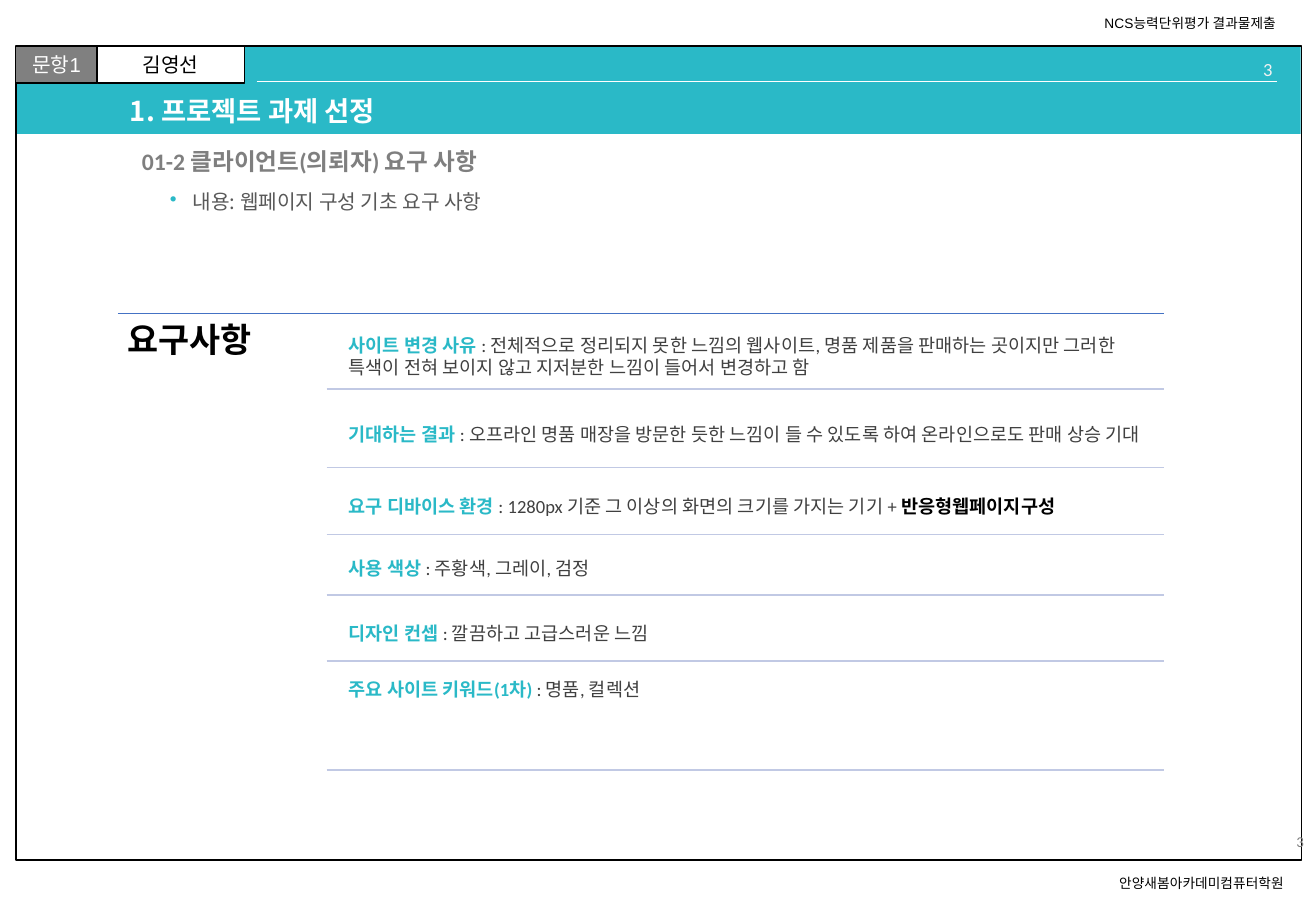
from collections import namedtuple
from dataclasses import dataclass

from lxml import etree
from pptx import Presentation
from pptx import util as u
from pptx.dml import color
from pptx.enum import shapes, text
from pptx.oxml import ns

Box = namedtuple("Box", "left top width height")
Run = namedtuple("Run", "words color bold")


@dataclass(frozen=True)
class Theme:
    """Colours, fonts and type sizes of the slide."""
    teal: str = "2AB9C7"
    black: str = "000000"
    white: str = "FFFFFF"
    badge: str = "808080"
    subtitle: str = "7F7F7F"
    content: str = "595959"
    detail: str = "404040"
    page: str = "F2F2F2"
    top_rule: str = "4472C4"
    row_rule: str = "C1C9E4"
    korean: str = "Noto Sans CJK KR"
    latin: str = "Calibri"
    margin: str = "Arial"
    heading_size: float = 20
    title_size: float = 16.2
    subtitle_size: float = 14
    label_size: float = 12
    row_size: float = 11
    corner_size: float = 8.9
    margin_size: float = 8.1


THEME = Theme()
ALIGN, ANCHOR = text.PP_ALIGN, text.MSO_ANCHOR


def rgb(value):
    """Turn a hex string into a colour."""
    return color.RGBColor.from_string(value)


def points(box):
    """Give the four lengths of a box in points."""
    return [u.Pt(length) for length in box]


def inside(box, left, top, width, height):
    """Place a box relative to the corner of another one."""
    return Box(box.left + left, box.top + top, width, height)


def write(shape, runs, *, size, font=THEME.latin, align=ALIGN.LEFT,
          anchor=ANCHOR.TOP, inset=(7.2, 3.6), spacing=1.0, bullet=None):
    """Fill a shape with one formatted paragraph of runs."""
    frame = shape.text_frame
    frame.word_wrap = True
    frame.vertical_anchor = anchor
    frame.margin_left = frame.margin_right = u.Pt(inset[0])
    frame.margin_top = frame.margin_bottom = u.Pt(inset[1])
    paragraph = frame.paragraphs[0]
    paragraph.alignment = align
    paragraph.line_spacing = spacing
    for words, shade, bold in runs:
        run = paragraph.add_run()
        run.text = words
        run.font.name, run.font.size, run.font.bold = font, u.Pt(size), bold
        run.font.color.rgb = rgb(shade)
        east_asian = etree.SubElement(run.font._element, ns.qn("a:ea"))
        east_asian.set("typeface", THEME.korean)
    if bullet:
        properties = paragraph._p.get_or_add_pPr()
        properties.set("marL", str(u.Pt(13.5)))
        properties.set("indent", str(u.Pt(-13.5)))
        shade = etree.SubElement(properties, ns.qn("a:buClr"))
        etree.SubElement(shade, ns.qn("a:srgbClr")).set("val", bullet)
        etree.SubElement(properties, ns.qn("a:buChar")).set("char", "•")


def add_text(slide, box, words, *, shade=THEME.black, bold=False, **style):
    """Add a text box holding a string or a list of runs."""
    runs = [Run(words, shade, bold)] if isinstance(words, str) else words
    write(slide.shapes.add_textbox(*points(box)), runs, **style)


def add_panel(slide, box, fill=None, line=None, weight=0.75):
    """Add a plain rectangle with an optional fill and outline."""
    panel = slide.shapes.add_shape(shapes.MSO_SHAPE.RECTANGLE, *points(box))
    panel.shadow.inherit = False
    if fill:
        panel.fill.solid()
        panel.fill.fore_color.rgb = rgb(fill)
    else:
        panel.fill.background()
    if line:
        panel.line.color.rgb = rgb(line)
        panel.line.width = u.Pt(weight)
    else:
        panel.line.fill.background()
    return panel


def add_rule(slide, left, right, y, shade, weight=1):
    """Add a horizontal line."""
    rule = slide.shapes.add_connector(
        shapes.MSO_CONNECTOR.STRAIGHT, *points((left, y, right, y)))
    rule.line.color.rgb = rgb(shade)
    rule.line.width = u.Pt(weight)
    etree.SubElement(rule._element.spPr, ns.qn("a:effectLst"))


def draw_frame(slide, box):
    """Draw the border, the banner and the two labels outside the border."""
    add_panel(slide, Box(box.left - 0.5, box.top, box.width, 52), THEME.teal)
    add_panel(slide, box, line=THEME.black, weight=1)
    margin = dict(size=THEME.margin_size, font=THEME.margin)
    add_text(slide, inside(box, 646.7, 487.4, 121, 17.3),
             "안양새봄아카데미컴퓨터학원", **margin)
    add_text(slide, inside(box, 638, -22.4, 124, 17.3),
             "NCS능력단위평가 결과물제출", **margin)
    add_text(slide, inside(box, 676.8, 463.7, 93.6, 16.6), "3",
             shade=THEME.badge, size=THEME.corner_size,
             align=ALIGN.RIGHT, anchor=ANCHOR.BOTTOM)


def draw_banner(slide, box):
    """Draw the question badge, the name, the page number and the title."""
    labels = [(0, 48.2, "문항1", THEME.badge, THEME.white),
              (48.2, 87.1, "김영선", THEME.white, THEME.black)]
    for left, width, words, fill, shade in labels:
        label = add_panel(slide, inside(box, left, 0, width, 21.8),
                          fill, THEME.black)
        write(label, [Run(words, shade, False)], size=THEME.label_size,
              font=THEME.margin, align=ALIGN.CENTER, anchor=ANCHOR.MIDDLE)
    add_text(slide, inside(box, 666.7, 3.6, 85, 14.4), "3", shade=THEME.page,
             size=THEME.row_size, align=ALIGN.RIGHT)
    add_rule(slide, box.left + 142.6, box.left + 747.4, box.top + 21,
             THEME.white, 0.5)
    add_text(slide, inside(box, 60.5, 27.4, 630, 24.5), "1. 프로젝트 과제 선정",
             shade=THEME.white, bold=True, size=THEME.title_size,
             font=THEME.korean, anchor=ANCHOR.MIDDLE, spacing=0.9)


def draw_intro(slide, box):
    """Draw the subtitle and the bullet below it."""
    add_text(slide, inside(box, 0, 0, box.width, 24.5),
             "01-2 클라이언트(의뢰자) 요구 사항", shade=THEME.subtitle, bold=True,
             size=THEME.subtitle_size, anchor=ANCHOR.MIDDLE, spacing=0.9)
    add_text(slide, inside(box, 16.6, 24.5, box.width - 16.6, 24.5),
             "내용: 웹페이지 구성 기초 요구 사항", shade=THEME.content,
             size=THEME.label_size, font=THEME.korean, bullet=THEME.teal)


def draw_requirements(slide, box, heading, rows):
    """Draw the heading and the ruled rows of requirements."""
    right = box.left + box.width
    add_rule(slide, box.left, right, box.top, THEME.top_rule)
    add_text(slide, inside(box, 0, 0, 124, box.height), heading, bold=True,
             size=THEME.heading_size, inset=(5.8, 5.8), spacing=0.9)
    bottom = 0
    for height, gap, anchor, topic, detail, stress in rows:
        runs = [Run(topic, THEME.teal, True), Run(detail, THEME.detail, False)]
        if stress:
            runs.append(Run(stress, THEME.black, True))
        add_text(slide, inside(box, 133.2, bottom + gap, 486, height - gap),
                 runs, size=THEME.row_size, anchor=anchor, inset=(3.6, 3.6))
        bottom += height
        add_rule(slide, box.left + 123.8, right, box.top + bottom,
                 THEME.row_rule)


REQUIREMENTS = [
    (44.6, 5.8, ANCHOR.MIDDLE, "사이트 변경 사유 ",
     ": 전체적으로 정리되지 못한 느낌의 웹사이트, 명품 제품을 판매하는 곳이지만 "
     "그러한 특색이 전혀 보이지 않고 지저분한 느낌이 들어서 변경하고 함", None),
    (46.8, 6.5, ANCHOR.MIDDLE, "기대하는 결과 ",
     ": 오프라인 명품 매장을 방문한 듯한 느낌이 들 수 있도록 하여 "
     "온라인으로도 판매 상승 기대", None),
    (39.6, 6.5, ANCHOR.MIDDLE, "요구 디바이스 환경 ",
     ": 1280px 기준 그 이상의 화면의 크기를 가지는 기기 + ", "반응형웹페이지구성"),
    (36, 4, ANCHOR.MIDDLE, "사용 색상 ", ": 주황색, 그레이, 검정", None),
    (38.9, 6.5, ANCHOR.MIDDLE, "디자인 컨셉 ", ": 깔끔하고 고급스러운 느낌", None),
    (64.8, 6.5, ANCHOR.TOP, "주요 사이트 키워드(1차) ", ": 명품, 컬렉션", None),
]

deck = Presentation()
deck.slide_width, deck.slide_height = u.Pt(779.8), u.Pt(540)
page = deck.slides.add_slide(deck.slide_layouts[6])
draw_frame(page, Box(9.4, 27.4, 761.8, 482.4))
draw_banner(page, Box(9.4, 27.4, 761.8, 52))
draw_intro(page, Box(77, 84.2, 623.5, 49))
draw_requirements(page, Box(69.8, 185.8, 620, 277), "요구사항", REQUIREMENTS)
deck.save("out.pptx")
